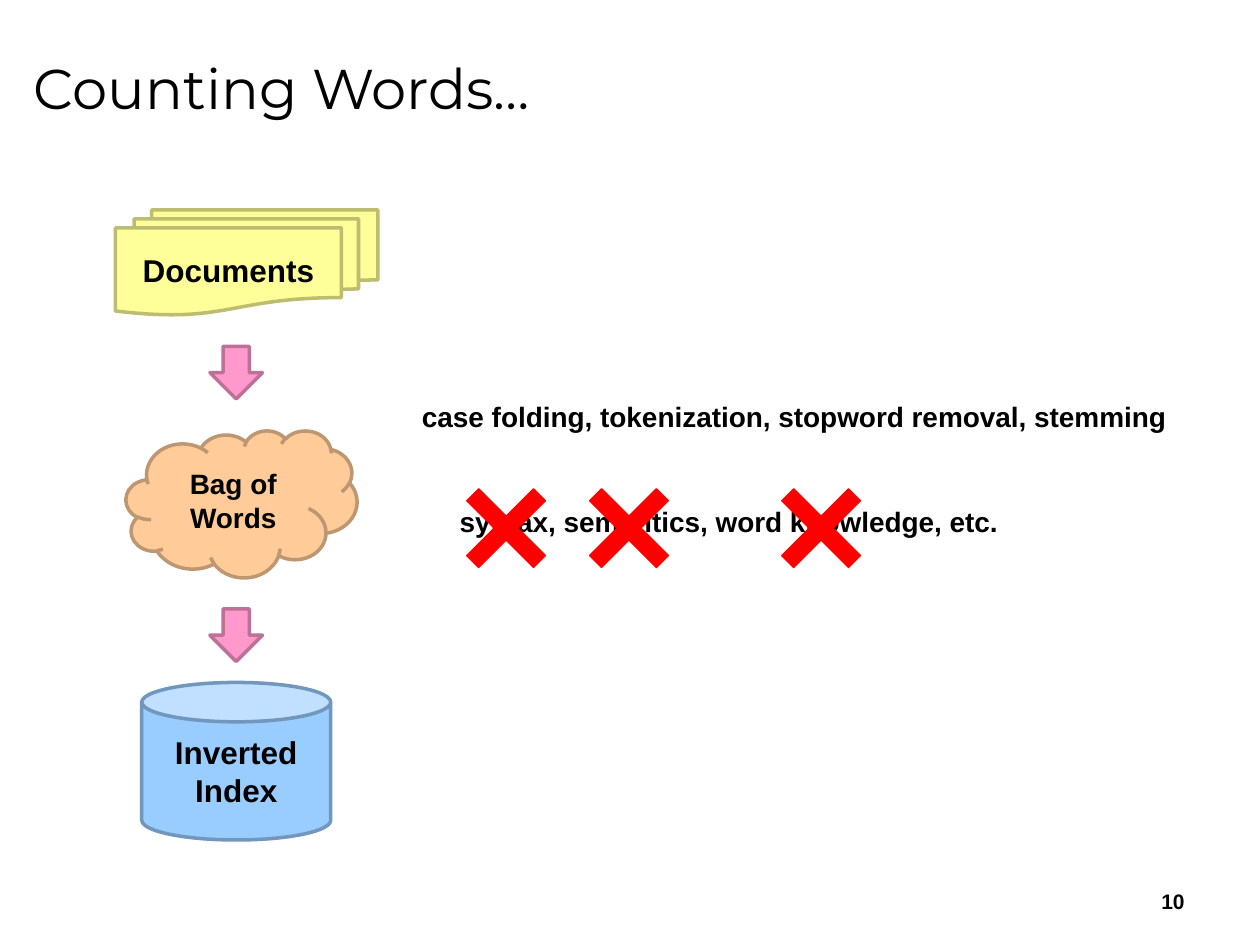
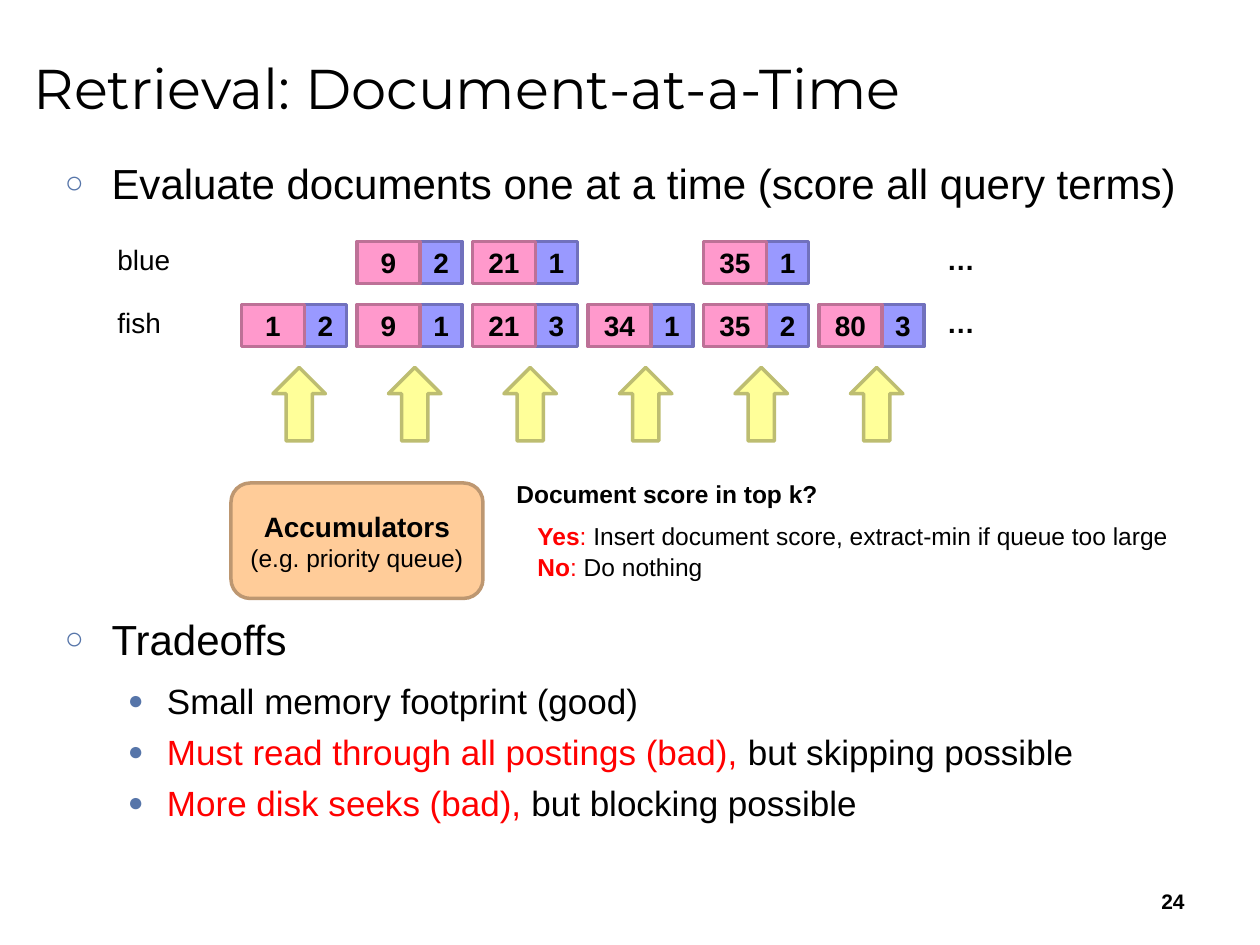
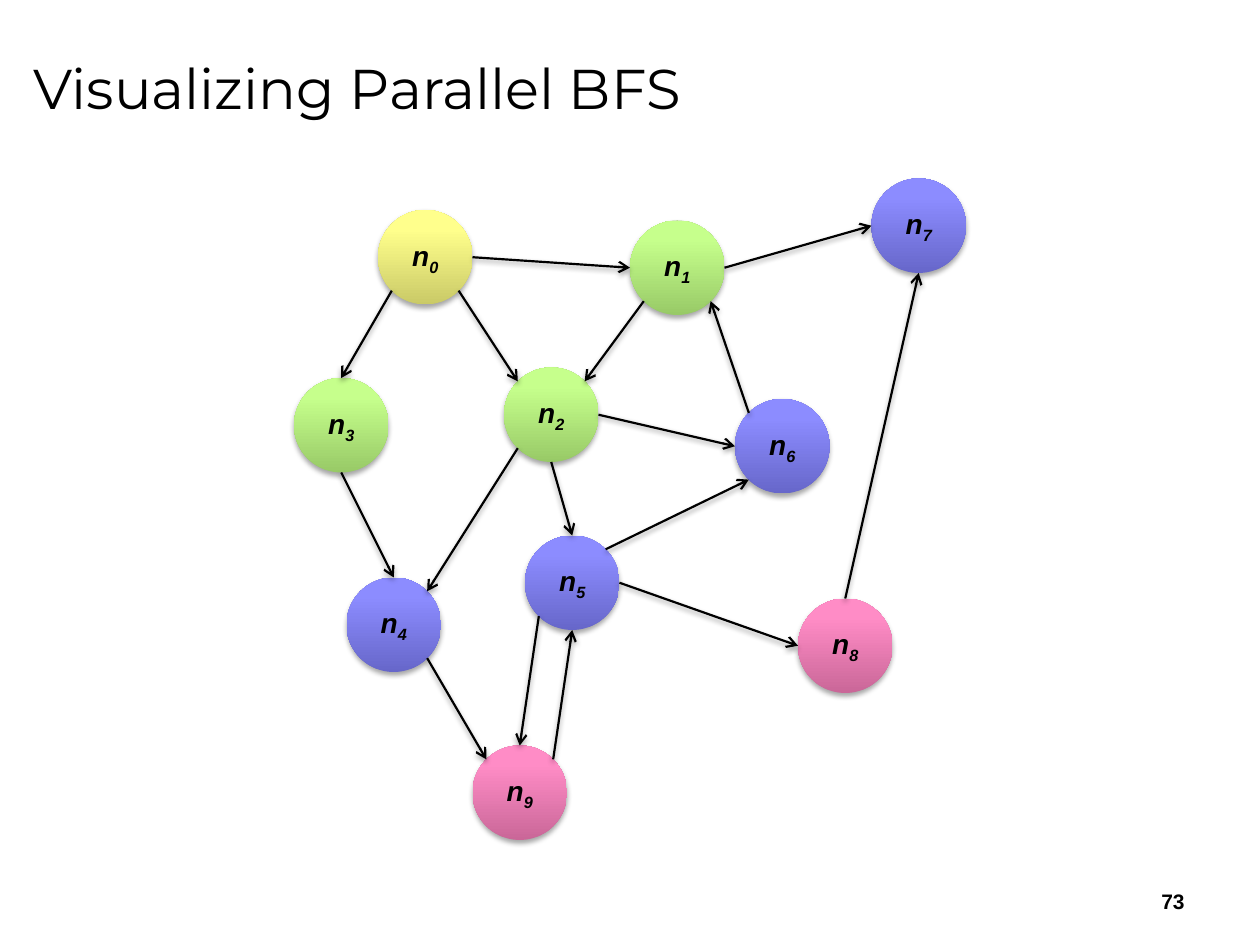
"""Build three lecture slides on text retrieval and parallel graph search."""
from math import cos, radians, sin

from lxml.etree import SubElement
from pptx import Presentation
from pptx.dml.color import RGBColor
from pptx.enum.shapes import MSO_CONNECTOR, MSO_SHAPE as SHAPE
from pptx.enum.text import MSO_ANCHOR as ANCHOR, MSO_AUTO_SIZE as FIT, PP_ALIGN as ALIGN
from pptx.oxml.ns import qn
from pptx.util import Inches, Pt

COLORS = {
    "black": "000000", "red": "FF0000", "bullet": "5675A9",
    "yellow": "FFFF99", "yellow edge": "BDBD71",
    "blue": "99CCFF", "blue edge": "7197BD",
    "orange": "FFCC99", "orange edge": "BD9771",
    "pink": "FF99CC", "pink edge": "BD7197",
    "violet": "9999FF", "violet edge": "7171BD",
}
NODE_COLORS = {
    "yellow": ("CACA67", "FFFF8C"), "green": ("98CA67", "C6FF8C"),
    "violet": ("6767CA", "8C8CFF"), "pink": ("CA6798", "FF8CC6"),
}
BASE = {"name": "Arial", "size": 16, "bold": False, "color": "black"}
STRONG = {"bold": True}
RED = {"color": "red"}
BULLETS = {0: ("○", 0.37, 24), 1: ("●", 0.81, 20)}
HANGING = {0: 0.37, 1: 0.31}
COMPASS = {d: radians(45 * i) for i, d in enumerate("E SE S SW W NW N NE".split())}
NODE_SIZE = 9


def grid(*cells):
    """Turn grid cells, twelve to the inch, into lengths."""
    return [Inches(c / 12) for c in cells]


def rgb(name):
    """Look up a named colour."""
    return RGBColor.from_string(COLORS[name])


def style(font, values):
    """Set the font attributes given in a dict."""
    for key, value in {**BASE, **values}.items():
        if key == "color":
            font.color.rgb = rgb(value)
        else:
            setattr(font, key, Pt(value) if key == "size" else value)


def add_runs(p, runs, values):
    """Add (text, format) runs that share a base format."""
    for text, extra in runs:
        r = p.add_run()
        r.text = text
        style(r.font, {**values, **extra})


def write(tf, lines, values, align=ALIGN.LEFT, wrap=False):
    """Fill a text frame with lines, each a string or a list of runs."""
    tf.word_wrap = wrap
    for i, line in enumerate(lines):
        p = tf.add_paragraph() if i else tf.paragraphs[0]
        p.alignment = align
        add_runs(p, [(line, {})] if isinstance(line, str) else line, values)


def add_text(shapes, cells, line, values):
    """Add a one-line text box that fits its text."""
    tf = shapes.add_textbox(*grid(*cells)).text_frame
    write(tf, [line], values)
    tf.auto_size = FIT.SHAPE_TO_FIT_TEXT


def add_box(shapes, kind, cells, color, lines=(), wrap=False, values=STRONG):
    """Add a filled and outlined shape with centred text."""
    sp = shapes.add_shape(kind, *grid(*cells))
    sp.shadow.inherit = False
    sp.fill.solid()
    sp.fill.fore_color.rgb = rgb(color)
    sp.line.color.rgb = rgb(f"{color} edge")
    sp.line.width = Pt(2)
    sp.text_frame.vertical_anchor = ANCHOR.MIDDLE
    write(sp.text_frame, lines, values, ALIGN.CENTER, wrap)
    return sp


def add_cross(shapes, left):
    """Add a red cross that strikes out a word."""
    sp = shapes.add_shape(SHAPE.CROSS, *grid(left, 45.8, 9, 9))
    sp.adjustments[0] = 0.41
    sp.rotation = 45
    sp.shadow.inherit = False
    sp.fill.solid()
    sp.fill.fore_color.rgb = sp.line.color.rgb = rgb("red")
    sp.line.width = Pt(0.75)


def add_shadow(sp, distance, opacity):
    """Give a shape or connector a soft shadow below it."""
    effects = SubElement(sp._element.spPr, qn("a:effectLst"))
    shadow = SubElement(effects, qn("a:outerShdw"), blurRad=str(Pt(3.1)),
                        dist=str(Pt(distance)), dir="5400000", rotWithShape="0")
    color = SubElement(shadow, qn("a:srgbClr"), val=COLORS["black"])
    SubElement(color, qn("a:alpha"), val=str(opacity * 1000))


def add_node(shapes, number, left, top, color):
    """Add a shaded graph node labelled n with a subscript."""
    sp = shapes.add_shape(SHAPE.OVAL, *grid(left, top, NODE_SIZE, NODE_SIZE))
    sp.fill.gradient()
    sp.fill.gradient_angle = 90
    for stop, place, value in zip(sp.fill.gradient_stops, (0, 0.8), NODE_COLORS[color]):
        stop.position = place
        stop.color.rgb = RGBColor.from_string(value)
    sp.line.fill.background()
    add_shadow(sp, 1.8, 35)
    tf = sp.text_frame
    tf.vertical_anchor = ANCHOR.MIDDLE
    write(tf, [[("n", {}), (str(number), {})]], {"bold": True, "italic": True}, ALIGN.CENTER)
    tf.paragraphs[0].runs[1]._r.get_or_add_rPr().set("baseline", "-25000")


def rim(node, direction):
    """Find the point of a node's rim in a compass direction."""
    left, top, _ = node
    radius, angle = NODE_SIZE / 2, COMPASS[direction]
    return grid(left + radius * (1 + cos(angle)), top + radius * (1 + sin(angle)))


def add_edge(shapes, start, end):
    """Add an arrow between two rim points."""
    sp = shapes.add_connector(MSO_CONNECTOR.STRAIGHT, *start, *end)
    sp.line.color.rgb = rgb("black")
    sp.line.width = Pt(1.25)
    SubElement(sp._element.spPr.find(qn("a:ln")), qn("a:tailEnd"), type="arrow")
    add_shadow(sp, 1.6, 38)


def add_bullets(shapes, cells, items):
    """Add a bulleted list of (level, space before, runs) items."""
    tf = shapes.add_textbox(*grid(*cells)).text_frame
    tf.word_wrap = True
    for i, (level, gap, runs) in enumerate(items):
        char, margin, size = BULLETS[level]
        p = tf.add_paragraph() if i else tf.paragraphs[0]
        p.level = level
        p.space_before = Pt(gap)
        pPr = p._p.get_or_add_pPr()
        pPr.set("marL", str(Inches(margin)))
        pPr.set("indent", str(-Inches(HANGING[level])))
        SubElement(SubElement(pPr, qn("a:buClr")), qn("a:srgbClr"), val=COLORS["bullet"])
        SubElement(pPr, qn("a:buSzPct"), val="75000")
        SubElement(pPr, qn("a:buFont"), typeface="Arial")
        SubElement(pPr, qn("a:buChar"), char=char)
        add_runs(p, runs, {"size": size})


def add_slide(prs, title, number):
    """Add a slide with its title and page number."""
    s = prs.slides.add_slide(prs.slide_layouts[5])
    sp = s.shapes.title
    sp.left, sp.top, sp.width, sp.height = grid(2, 1.5, 114, 13.5)
    tf = sp.text_frame
    tf.vertical_anchor = ANCHOR.MIDDLE
    tf.auto_size = FIT.NONE
    write(tf, [title], {"name": "Montserrat", "size": 32}, wrap=True)
    tf = s.shapes.add_textbox(*grid(86, 83.4, 28, 4.8)).text_frame
    tf.vertical_anchor = ANCHOR.MIDDLE
    write(tf, [str(number)], {"size": 12, "bold": True}, ALIGN.RIGHT, True)
    return s.shapes


def add_postings(shapes, term, width, top, postings):
    """Add a term with its (column, document, frequency) postings."""
    add_text(shapes, (10, top - 0.5, width, 4.4), term, {})
    group = shapes.add_group_shape().shapes
    for column, document, frequency in postings:
        left = 23 + 11 * column
        add_box(group, SHAPE.RECTANGLE, (left + 6, top, 4, 4), "violet", [str(frequency)], True)
        add_box(group, SHAPE.RECTANGLE, (left, top, 6, 4), "pink", [str(document)], True)
    add_text(group, (89, top - 0.5, 5.2, 4.4), "…", STRONG)


def counting_slide(prs):
    """Show the way from documents to an inverted index."""
    shapes = add_slide(prs, "Counting Words…", 10)
    add_box(shapes, SHAPE.FLOWCHART_MULTIDOCUMENT, (11, 20, 25, 10), "yellow",
            ["Documents"], values={"bold": True, "size": 18})
    add_box(shapes, SHAPE.CAN, (13.5, 65, 18, 15), "blue",
            ["Inverted", "Index"], values={"bold": True, "size": 18})
    add_box(shapes, SHAPE.CLOUD, (12, 41, 22, 14), "orange", ["Bag of Words"], True)
    for top in (33, 58):
        add_box(shapes, SHAPE.DOWN_ARROW, (20, top, 5, 5), "pink")
    add_text(shapes, (39, 37.5, 74.3, 4.4),
             "case folding, tokenization, stopword removal, stemming", STRONG)
    add_text(shapes, (42.6, 47.5, 54.4, 4.4), "syntax, semantics, word knowledge, etc.", STRONG)
    for left in (43.7, 55.4, 73.7):
        add_cross(shapes, left)


def retrieval_slide(prs):
    """Show postings scored one document at a time."""
    shapes = add_slide(prs, "Retrieval: Document-at-a-Time", 24)
    add_bullets(shapes, (5, 14.4, 111, 67), [
        (0, 0, [("Evaluate documents one at a time (score all query terms)", {})]),
        (0, 232, [("Tradeoffs", {})]),
        (1, 9, [("Small memory footprint (good)", {})]),
        (1, 5, [("Must read through all postings (bad), ", RED), ("but skipping possible", {})]),
        (1, 5, [("More disk seeks (bad), ", RED), ("but blocking possible", {})]),
    ])
    add_postings(shapes, "fish", 6.6, 29,
                 [(0, 1, 2), (1, 9, 1), (2, 21, 3), (3, 34, 1), (4, 35, 2), (5, 80, 3)])
    add_postings(shapes, "blue", 7.4, 23, [(1, 9, 2), (2, 21, 1), (4, 35, 1)])
    for column in range(6):
        add_box(shapes, SHAPE.UP_ARROW, (26 + 11 * column, 35, 5, 7), "yellow")
    add_box(shapes, SHAPE.ROUNDED_RECTANGLE, (22, 46, 24, 11), "orange",
            ["Accumulators", [("(e.g. priority queue)", {"size": 14, "bold": False})]], True)
    add_text(shapes, (48, 45, 31.2, 4), "Document score in top k?", {"size": 14, "bold": True})
    answers = [
        ("Yes", "Insert document score, extract-min if queue too large", 49, 62.8),
        ("No", "Do nothing", 52, 18.7),
    ]
    for answer, action, top, width in answers:
        add_text(shapes, (50, top, width, 4),
                 [(answer, {**RED, **STRONG}), (": ", RED), (action, {})], {"size": 14})


def search_slide(prs):
    """Show the frontiers of a breadth-first search."""
    shapes = add_slide(prs, "Visualizing Parallel BFS", 73)
    nodes = [
        (36, 20, "yellow"), (60, 21, "green"), (48, 35, "green"), (28, 36, "green"),
        (33, 55, "violet"), (50, 51, "violet"), (70, 38, "violet"), (83, 17, "violet"),
        (76, 57, "pink"), (45, 71, "pink"),
    ]
    edges = [
        (0, "SW", 3, "N"), (0, "SE", 2, "NW"), (0, "E", 1, "W"), (1, "E", 7, "W"),
        (8, "N", 7, "S"), (6, "NW", 1, "SE"), (1, "SW", 2, "NE"), (2, "E", 6, "W"),
        (3, "S", 4, "N"), (2, "SW", 4, "NE"), (2, "S", 5, "N"), (5, "NE", 6, "SW"),
        (4, "SE", 9, "NW"), (5, "SW", 9, "N"), (9, "NE", 5, "S"), (5, "E", 8, "W"),
    ]
    for number, node in enumerate(nodes):
        add_node(shapes, number, *node)
    for tail, leave, head, enter in edges:
        add_edge(shapes, rim(nodes[tail], leave), rim(nodes[head], enter))


def main():
    """Build and save the slides."""
    prs = Presentation()
    prs.slide_width, prs.slide_height = Inches(10), Inches(7.5)
    counting_slide(prs)
    retrieval_slide(prs)
    search_slide(prs)
    prs.save("out.pptx")


if __name__ == "__main__":
    main()
